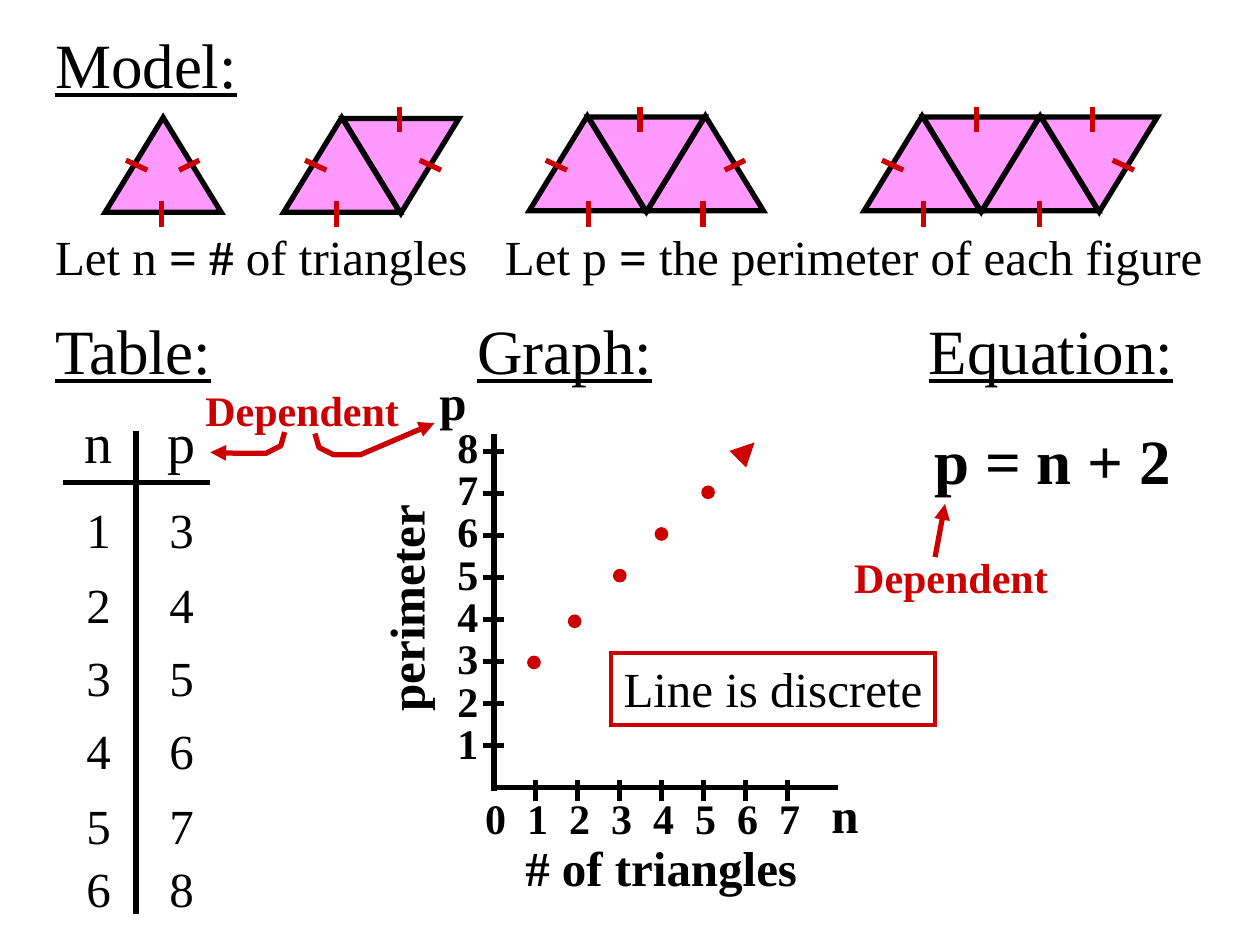
from lxml.etree import SubElement
from pptx import Presentation
from pptx.dml.color import RGBColor as Rgb
from pptx.enum.shapes import MSO_CONNECTOR as Conn, MSO_SHAPE as Kind
from pptx.enum.text import MSO_AUTO_SIZE as Fit, PP_ALIGN as Align
from pptx.oxml.ns import qn
from pptx.util import Cm, Pt

HUES = {"ink": "000000", "red": "CC0000", "pink": "FF99FF"}
INK, RED, PINK = (Rgb.from_string(hue) for hue in HUES.values())
FONT = "Times New Roman"

deck = Presentation()
deck.slide_width, deck.slide_height = Cm(25.4), Cm(19.05)
slide = deck.slides.add_slide(deck.slide_layouts[6])
shapes = slide.shapes


def text(x, y, w, h, lines, size, bold=False, hue=INK):
    """Add a text box; each line is a string or a list of (words, bold) runs."""
    box = shapes.add_textbox(Cm(x), Cm(y), Cm(w), Cm(h))
    frame = box.text_frame
    frame.word_wrap = True
    frame.auto_size = Fit.NONE
    frame.margin_right = 0  # leaves slack so that each line fits its box
    for i, runs in enumerate(lines):
        para = frame.add_paragraph() if i else frame.paragraphs[0]
        for words, heavy in [(runs, bold)] if isinstance(runs, str) else runs:
            run = para.add_run()
            run.text = words
            font = run.font
            font.name, font.size, font.bold = FONT, Pt(size), heavy
            font.color.rgb = hue
    return box


def line(x1, y1, x2, y2, hue=INK, width=3):
    link = shapes.add_connector(Conn.STRAIGHT, Cm(x1), Cm(y1), Cm(x2), Cm(y2))
    link.line.color.rgb = hue
    link.line.width = Pt(width)
    SubElement(link._element.spPr, qn("a:effectLst"))
    return link


# Section headings
for x, y, w, name in [(0.86, 0.38, 4.17, "Model:"), (0.86, 6.15, 3.73, "Table:"),
                      (9.37, 6.15, 4.04, "Graph:"), (18.47, 6.15, 5.44, "Equation:")]:
    head = text(x, y, w, 1.78, [name], 36)
    head.text_frame.paragraphs[0].runs[0].font.underline = True

# Model: rows of one to four triangles, every second one upside down
sharp = []
for count, (left, top) in enumerate(
        [(2.12, 2.37), (5.72, 2.37), (10.67, 2.34), (17.42, 2.34)], 1):
    for i in range(count):
        odd = i % 2
        tri = shapes.add_shape(Kind.ISOSCELES_TRIANGLE, Cm(left + 1.19 * i),
                               Cm(top + 0.02 * odd), Cm(2.34), Cm(1.91))
        tri.rotation = 180 * odd
        tri.shadow.inherit = False
        tri.fill.solid()
        tri.fill.fore_color.rgb = PINK
        tri.line.color.rgb = INK
        tri.line.width = Pt(3)
        sharp.append(tri)

# Marks on the outer sides: bottom, top, falling and rising
for xs, y1, dx, dy in [
        ((3.25, 6.78, 11.86, 14.17, 18.62, 20.96), 4.06, 0, 0.51),
        ((8.05, 12.9, 19.69, 22.02), 2.16, 0, 0.51),
        ((2.54, 6.15, 8.46, 11, 17.78, 22.43), 3.23, 0.43, 0.2),
        ((3.61, 14.61), 3.43, 0.41, -0.2)]:
    for x in xs:
        line(x, y1, x + dx, y1 + dy, RED)

text(0.86, 4.45, 8.81, 1.45,
     [[("Let n ", False), ("= #", True), (" of triangles", False)]], 28)
text(9.93, 4.45, 14.81, 1.45,
     [[("Let p ", False), ("=", True), (" the perimeter of each figure", False)]], 28)

# Table of values
rows = [("n", "p")] + [(str(n), str(n + 2)) for n in range(1, 7)]
tall = [1.85, 1.52, 1.47, 1.47, 1.5, 1.27, 1.45]
grid = shapes.add_table(len(rows), 2, Cm(1.25), Cm(8.2), Cm(3.35), Cm(sum(tall))).table
grid.first_row = grid.horz_banding = False
grid.columns[0].width, grid.columns[1].width = Cm(1.47), Cm(1.88)
for r, pair in enumerate(rows):
    grid.rows[r].height = Cm(tall[r])
    for c, value in enumerate(pair):
        cell = grid.cell(r, c)
        cell.fill.background()
        cell.margin_bottom = 0
        para = cell.text_frame.paragraphs[0]
        para.alignment = Align.CENTER
        run = para.add_run()
        run.text = value
        run.font.name, run.font.size = FONT, Pt(28 if r else 32)
        run.font.color.rgb = INK
line(2.74, 8.69, 2.74, 18.42)
line(1.27, 9.73, 4.24, 9.73)

# Graph axes, ticks and labels
step = 2.54 / 3
line(9.96, 8.74, 9.96, 15.95)
line(9.91, 15.88, 16.89, 15.88)
for i in range(1, 8):
    line(9.95 + step * i, 15.72, 9.95 + step * i, 16.15)
for i in range(1, 9):
    line(9.73, 15.88 - step * i, 10.16, 15.88 - step * i)

scale = text(9.53, 15.85, 6.86, 1.27, ["\t".join("01234567")], 24, True)
tabs = SubElement(scale.text_frame.paragraphs[0]._p.get_or_add_pPr(), qn("a:tabLst"))
for i in range(1, 8):
    SubElement(tabs, qn("a:tab"), pos=str(Cm(step * i)), algn="l")
scale = text(8.97, 8.53, 0.91, 7.09, list("87654321"), 24, True)
for para in scale.text_frame.paragraphs:
    para.line_spacing = 0.84

text(8.61, 7.37, 1.04, 1.45, ["p"], 28, True)
text(16.51, 15.7, 1.04, 1.45, ["n"], 28, True)
text(10.34, 16.76, 5.97, 1.45, ["# of triangles"], 28, True)
text(5.84, 11.53, 4.67, 1.45, ["perimeter"], 28, True).rotation = 270

# Plotted points
for x, y in [(10.64, 13.23), (11.46, 12.4), (12.37, 11.48), (13.21, 10.64), (14.15, 9.8)]:
    dot = shapes.add_shape(Kind.OVAL, Cm(x), Cm(y), Cm(0.25), Cm(0.25))
    dot.shadow.inherit = False
    dot.fill.solid()
    dot.fill.fore_color.rgb = dot.line.color.rgb = RED
    dot.line.width = Pt(0.75)

note = text(12.32, 13.16, 6.53, 1.45, ["Line is discrete"], 28)
note.line.color.rgb = RED
note.line.width = Pt(2.25)
sharp.append(note)
for shape in sharp:
    SubElement(shape._element.spPr.find(qn("a:ln")), qn("a:miter"), lim="800000")

# Equation and the dependent variable
text(18.59, 8.38, 5.26, 1.78, ["p = n + 2"], 36, True)
for x, y in [(3.89, 7.62), (16.97, 11)]:
    text(x, y, 4.39, 1.27, ["Dependent"], 24, True, RED)

arrows = [line(14.99, 9.14, 15.21, 8.92, RED, 4.5), line(18.85, 11.23, 19.05, 10.16, RED)]
for bends in [
        [(5.74, 8.71), (5.66, 8.99), (5.36, 9.14), (4.83, 9.14), (4.24, 9.12)],
        [(6.35, 8.74), (6.43, 9.02), (6.73, 9.17), (7.26, 9.17), (8.76, 8.53)]]:
    start, *rest = [(Cm(x), Cm(y)) for x, y in bends]
    pen = shapes.build_freeform(*start)
    pen.add_line_segments(rest, close=False)
    bent = pen.convert_to_shape()
    bent.shadow.inherit = False
    bent.fill.background()
    bent.line.color.rgb = RED
    bent.line.width = Pt(3)
    arrows.append(bent)
for arrow in arrows:
    SubElement(arrow._element.spPr.find(qn("a:ln")), qn("a:tailEnd"), type="triangle")

deck.save("out.pptx")
